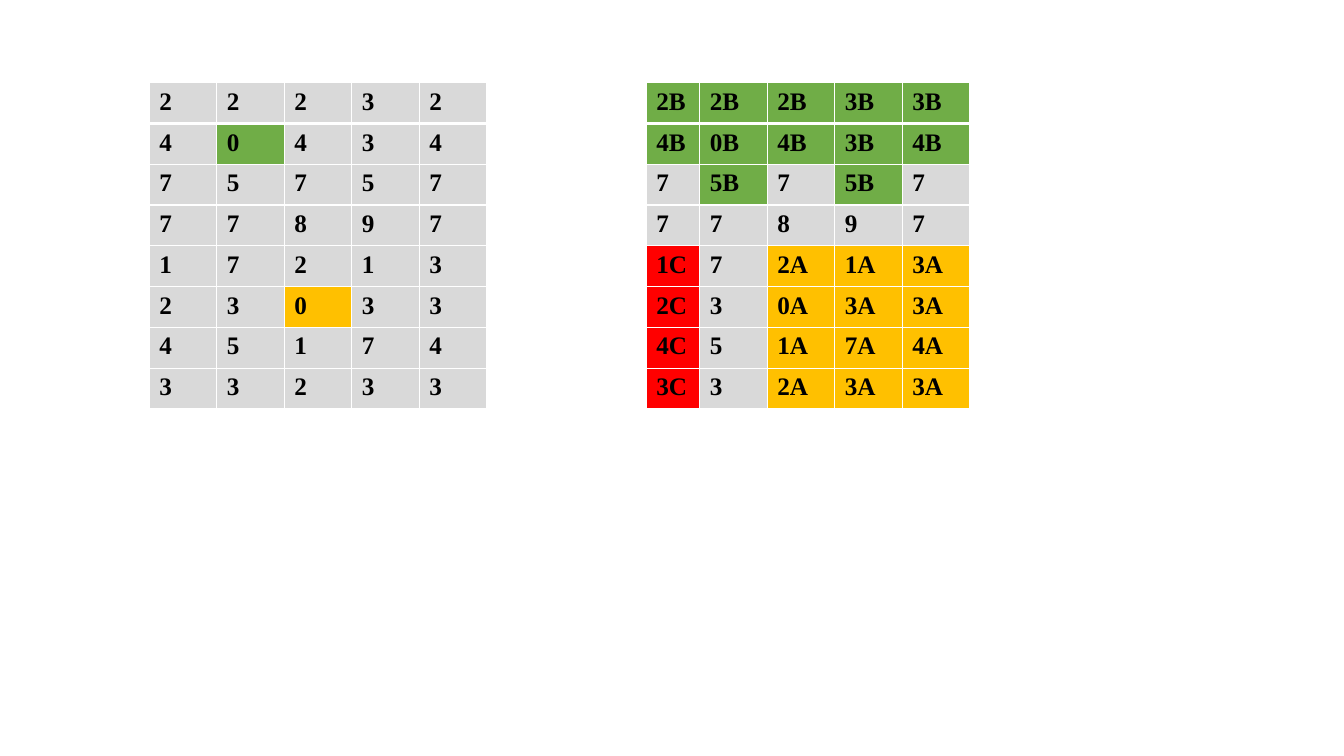
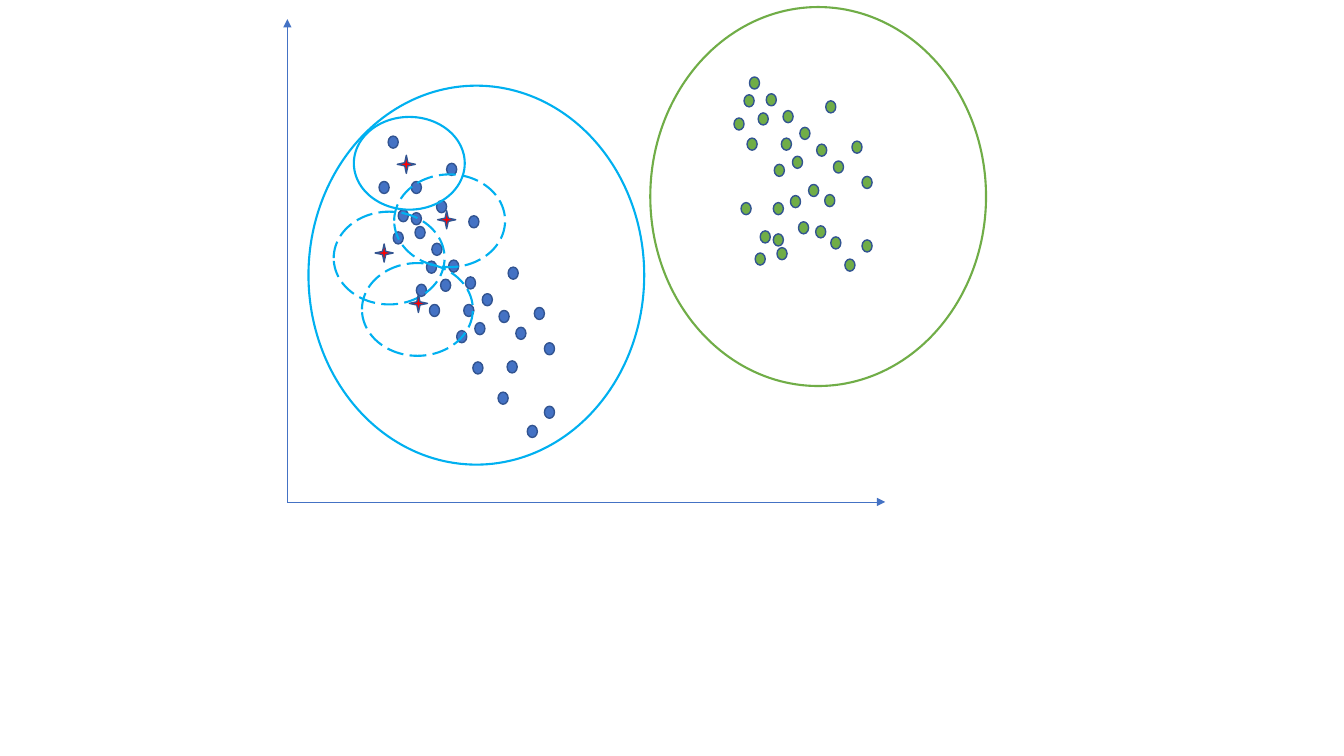
from collections.abc import Iterable
from dataclasses import dataclass

from lxml.etree import SubElement
from pptx import Presentation
from pptx.dml.color import RGBColor
from pptx.enum.dml import MSO_LINE
from pptx.enum.shapes import MSO_CONNECTOR, MSO_SHAPE
from pptx.oxml.ns import qn
from pptx.slide import Slide
from pptx.table import _Cell
from pptx.util import Inches, Pt

COLORS = {
    "white": "FFFFFF",
    "black": "000000",
    "gray": "D9D9D9",
    "green": "70AD47",
    "amber": "FFC000",
    "red": "FF0000",
    "blue": "4472C4",
    "outline": "325491",
    "cyan": "00B0F0",
}
CELL_FONT = {"name": "Times New Roman", "size": Pt(18), "bold": True}
REGION_COLORS = {"A": "amber", "B": "green", "C": "red"}
THIN_BORDER = 1
HEADER_BORDER = 3

Point = tuple[float, float]


@dataclass(frozen=True)
class Grid:
    left: float
    widths: tuple[float, ...]
    rows: tuple[str, ...]
    seeds: dict[tuple[int, int], str]
    top: float = 0.82
    height: float = 3.24


@dataclass(frozen=True)
class Mark:
    preset: MSO_SHAPE
    width: float
    height: float
    line: str
    weight: float
    fill: str | None = None
    dash: MSO_LINE | None = None


@dataclass(frozen=True)
class Neighborhood:
    center: Point
    corner: Point
    ring: Mark


SOLID_RING = Mark(MSO_SHAPE.OVAL, 1.1, 0.92, "cyan", 1.5)
DASHED_RING = Mark(MSO_SHAPE.OVAL, 1.1, 0.92, "cyan", 1.5, dash=MSO_LINE.LONG_DASH)
BLUE_CLUSTER = Mark(MSO_SHAPE.OVAL, 3.33, 3.76, "cyan", 1.5)
GREEN_CLUSTER = Mark(MSO_SHAPE.OVAL, 3.33, 3.76, "green", 1.5)
BLUE_DOT = Mark(MSO_SHAPE.OVAL, 0.1, 0.12, "outline", 1, "blue")
GREEN_DOT = Mark(MSO_SHAPE.OVAL, 0.1, 0.12, "outline", 1, "green")
STAR = Mark(MSO_SHAPE.STAR_4_POINT, 0.18, 0.18, "outline", 1, "red")

GRIDS = (
    Grid(
        1.48,
        (0.67,) * 5,
        (
            "2 2 2 3 2",
            "4 0 4 3 4",
            "7 5 7 5 7",
            "7 7 8 9 7",
            "1 7 2 1 3",
            "2 3 0 3 3",
            "4 5 1 7 4",
            "3 3 2 3 3",
        ),
        {(1, 1): "green", (5, 2): "amber"},
    ),
    Grid(
        6.41,
        (0.53,) + (0.67,) * 4,
        (
            "2B 2B 2B 3B 3B",
            "4B 0B 4B 3B 4B",
            "7 5B 7 5B 7",
            "7 7 8 9 7",
            "1C 7 2A 1A 3A",
            "2C 3 0A 3A 3A",
            "4C 5 1A 7A 4A",
            "3C 3 2A 3A 3A",
        ),
        {},
    ),
)

LONE_DOT = (3.85, 1.35)
DIAGONAL = [(3.95 + step / 6, 2.08 + step / 6) for step in range(8)]
UPPER_DOTS = [
    (4.08, 2.11), (3.9, 2.3), (4.33, 1.99), (4.65, 2.14),
    (3.76, 1.8), (4.08, 1.8), (4.43, 1.62), *DIAGONAL[:2],
]
LOWER_DOTS = [
    (4.23, 2.59), (4.71, 3.2), (4.37, 2.77), (4.13, 2.82),
    (4.26, 3.02), (4.53, 3.28), (4.6, 3.02), (5.04, 2.65),
    *DIAGONAL[2:],
    (4.69, 3.59), (5.03, 3.58), (5.3, 3.05), (4.94, 3.89),
    (5.4, 3.4), (5.23, 4.22), (5.4, 4.03),
]
UPPER_SHIFT = (3.59, 0.21)
LOWER_SHIFT = (3.15, -1.65)

NEIGHBORHOODS = (
    Neighborhood((3.94, 1.54), (3.51, 1.16), SOLID_RING),
    Neighborhood((4.34, 2.09), (3.91, 1.73), DASHED_RING),
    Neighborhood((3.72, 2.42), (3.31, 2.1), DASHED_RING),
    Neighborhood((4.06, 2.92), (3.59, 2.61), DASHED_RING),
)
ORIGIN = (2.85, 4.98)
AXIS_ENDS = ((8.78, 4.98), (2.85, 0.19))


def rgb(name: str) -> RGBColor:
    return RGBColor.from_string(COLORS[name])


def set_border(cell: _Cell, side: str, weight: float) -> None:
    properties = cell._tc.get_or_add_tcPr()
    border = SubElement(properties, qn(f"a:ln{side}"), w=str(Pt(weight)))
    fill = SubElement(border, qn("a:solidFill"))
    SubElement(fill, qn("a:srgbClr"), val=COLORS["white"])


def fill_cell(cell: _Cell, text: str, color: str, row: int) -> None:
    for side in "LRTB":
        under_header = (row, side) in {(0, "B"), (1, "T")}
        set_border(cell, side, HEADER_BORDER if under_header else THIN_BORDER)
    cell.fill.solid()
    cell.fill.fore_color.rgb = rgb(color)
    span = cell.text_frame.paragraphs[0].add_run()
    span.text = text
    for attribute, value in CELL_FONT.items():
        setattr(span.font, attribute, value)
    span.font.color.rgb = rgb("black")


def draw_grid(page: Slide, grid: Grid) -> None:
    table = page.shapes.add_table(
        len(grid.rows), len(grid.widths),
        Inches(grid.left), Inches(grid.top),
        Inches(sum(grid.widths)), Inches(grid.height),
    ).table
    for column, width in zip(table.columns, grid.widths):
        column.width = Inches(width)
    for row, line in enumerate(grid.rows):
        table.rows[row].height = Inches(grid.height / len(grid.rows))
        for column, text in enumerate(line.split()):
            region = REGION_COLORS.get(text[-1], "gray")
            color = grid.seeds.get((row, column), region)
            fill_cell(table.cell(row, column), text, color, row)


def draw_mark(page: Slide, mark: Mark, corner: Point) -> None:
    left, top = corner
    shape = page.shapes.add_shape(
        mark.preset, Inches(left), Inches(top),
        Inches(mark.width), Inches(mark.height),
    )
    shape.shadow.inherit = False
    if mark.fill:
        shape.fill.solid()
        shape.fill.fore_color.rgb = rgb(mark.fill)
    else:
        shape.fill.background()
    shape.line.color.rgb = rgb(mark.line)
    shape.line.width = Pt(mark.weight)
    if mark.dash:
        shape.line.dash_style = mark.dash


def draw_axis(page: Slide, end: Point) -> None:
    axis = page.shapes.add_connector(
        MSO_CONNECTOR.STRAIGHT, *(Inches(length) for length in (*ORIGIN, *end))
    )
    axis.line.color.rgb = rgb("blue")
    axis.line.width = Pt(0.5)
    SubElement(axis.line._get_or_add_ln(), qn("a:tailEnd"), type="triangle")
    SubElement(axis._element.spPr, qn("a:effectLst"))


def draw_dots(page: Slide, dot: Mark, points: Iterable[Point], shift: Point = (0, 0)) -> None:
    for left, top in points:
        draw_mark(page, dot, (left + shift[0], top + shift[1]))


def build_grids(page: Slide) -> None:
    for grid in GRIDS:
        draw_grid(page, grid)


def build_clusters(page: Slide) -> None:
    for end in AXIS_ENDS:
        draw_axis(page, end)
    draw_dots(page, BLUE_DOT, [*LOWER_DOTS, *UPPER_DOTS, LONE_DOT])
    draw_dots(page, GREEN_DOT, LOWER_DOTS, LOWER_SHIFT)
    draw_dots(page, GREEN_DOT, UPPER_DOTS, UPPER_SHIFT)
    for neighborhood in NEIGHBORHOODS:
        draw_mark(page, STAR, neighborhood.center)
        draw_mark(page, neighborhood.ring, neighborhood.corner)
    draw_mark(page, BLUE_CLUSTER, (3.06, 0.85))
    draw_mark(page, GREEN_CLUSTER, (6.45, 0.07))


def main() -> None:
    deck = Presentation()
    deck.slide_width = Inches(13.33)
    deck.slide_height = Inches(7.5)
    for build in (build_grids, build_clusters):
        build(deck.slides.add_slide(deck.slide_layouts[6]))
    deck.save("out.pptx")


main()
